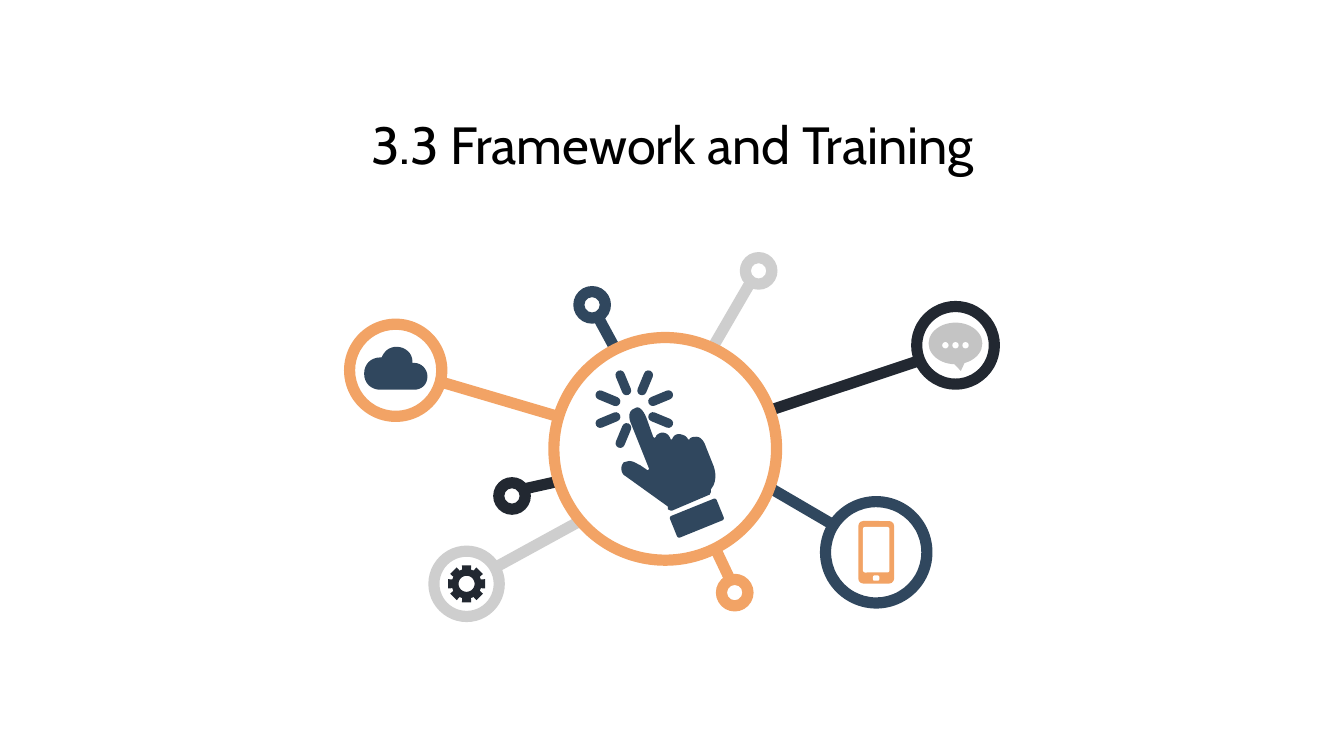
"""Build the framework and training slide: a touch hub linked to eight nodes."""
from dataclasses import dataclass
from math import cos, radians, sin

from lxml.etree import SubElement
from pptx import Presentation
from pptx.dml.color import RGBColor
from pptx.enum.shapes import MSO_CONNECTOR, MSO_SHAPE
from pptx.enum.text import MSO_ANCHOR, PP_ALIGN
from pptx.oxml.ns import qn
from pptx.shapes.autoshape import Shape
from pptx.slide import Slide
from pptx.util import Pt

COLORS = {
    "blue": "30475E", "dark": "222831", "orange": "F2A365",
    "light": "CECECE", "bubble": "C4C4C4", "white": "FFFFFF", "black": "000000",
}
RING = 6
SMALL = 20.2

Point = tuple[float, float]
Step = tuple[float, ...]


@dataclass(frozen=True)
class Node:
    center: Point
    diameter: float
    color: str
    link_start: Point
    link_end: Point


NODES = [
    Node((469.4, 295.9), 60.3, "blue", (411.8, 261), (446.4, 281.2)),
    Node((511.9, 185), 47.6, "dark", (411.1, 220.3), (491, 193.7)),
    Node((212, 198.4), 55.4, "orange", (299.2, 223.2), (235.8, 204.5)),
    Node((250, 312.8), 41, "light", (311, 279), (265, 304.2)),
    Node((274.3, 265.7), SMALL, "dark", (299.5, 257.8), (280.1, 262.1)),
    Node((393.6, 317.5), SMALL, "orange", (383, 293.4), (391, 310.3)),
    Node((317.2, 163.3), SMALL, "blue", (329.4, 186.5), (320.4, 169.9)),
    Node((406.4, 145.1), SMALL, "light", (382, 185.8), (402.1, 151.2)),
]
HUB_CENTER = (356.4, 240.5)

CLOUD: list[Step] = [
    (212.4, 185.8), (208.8, 185.8, 205.9, 187.9, 204.5, 191.5), (203.8, 191.5),
    (198.7, 191.5, 195.1, 195.1, 195.1, 200.2),
    (195.1, 205.2, 198.7, 208.8, 203.8, 208.8), (221.8, 208.8),
    (226.1, 208.8, 229, 205.9, 229, 201.6), (229, 198, 226.1, 194.4, 221.8, 194.4),
    (221, 194.4), (221, 193.7), (221, 189.4, 217.4, 185.8, 212.4, 185.8),
]
HAND: list[Step] = [
    (341.3, 218.2), (339.8, 218.9), (335.5, 220.3, 337.7, 226.1, 337.7, 226.1),
    (347.8, 251.3), (347, 252), (342.7, 249.1), (342, 249.1, 339.8, 247, 337, 247),
    (334.1, 247.7), (331.2, 251.3, 334.1, 254.9, 334.8, 254.9), (357.8, 271.4),
    (357.8, 272.9), (359.3, 273.6), (360, 273.6), (380.2, 265), (380.9, 263.5),
    (380.9, 262.1), (385.2, 257, 382.3, 249.8, 382.3, 249.8), (378, 239),
    (378, 239, 376.6, 234, 373, 234), (370.8, 234, 369.4, 234.7, 369.4, 235.4),
    (368.6, 235.4), (367.9, 234, 367.2, 233.3, 364.3, 232.6), (363.6, 232.6),
    (361.4, 232.6, 360.7, 234, 360, 235.4), (359.3, 235.4),
    (358.6, 233.3, 357.1, 231.8, 355, 231.8), (354.2, 231.8),
    (352.1, 232.6, 351.4, 233.3, 351.4, 234), (350.6, 234.7), (349.9, 234),
    (346.3, 223.9), (346.3, 223.9, 344.2, 218.2, 341.3, 218.2),
]


def rgb(color: str) -> RGBColor:
    return RGBColor.from_string(COLORS[color])


def paint(shape: Shape, color: str) -> None:
    shape.shadow.inherit = False
    shape.fill.solid()
    shape.fill.fore_color.rgb = rgb(color)
    shape.line.fill.background()


def add_centered(page: Slide, kind: MSO_SHAPE, center: Point, size: Point,
                 color: str, adjustments: Step = (), rotation: float = 0) -> None:
    (x, y), (width, height) = center, size
    shape = page.shapes.add_shape(
        kind, Pt(x - width / 2), Pt(y - height / 2), Pt(width), Pt(height))
    for index, value in enumerate(adjustments):
        shape.adjustments[index] = value
    shape.rotation = rotation
    paint(shape, color)


def add_ring(page: Slide, center: Point, diameter: float, color: str) -> None:
    add_centered(page, MSO_SHAPE.DONUT, center, (diameter, diameter), color,
                 (RING / diameter,))


def add_link(page: Slide, node: Node) -> None:
    link = page.shapes.add_connector(
        MSO_CONNECTOR.STRAIGHT, *(Pt(value) for value in node.link_start + node.link_end))
    link.line.width = Pt(RING)
    link.line.color.rgb = rgb(node.color)
    SubElement(link._element.spPr, qn("a:effectLst"))


def trace(steps: list[Step], samples: int = 8) -> list[Point]:
    """Turn line steps (x, y) and cubic curve steps (six numbers) into points."""
    points: list[Point] = [steps[0]]
    for step in steps[1:]:
        if len(step) == 2:
            points.append(step)
            continue
        start = points[-1]
        for index in range(1, samples + 1):
            t = index / samples
            weights = ((1 - t) ** 3, 3 * t * (1 - t) ** 2, 3 * t * t * (1 - t), t ** 3)
            points.append(tuple(
                sum(weight * value for weight, value in
                    zip(weights, (start[axis], *step[axis::2])))
                for axis in (0, 1)))
    return points


def polar(center: Point, radius: float, degrees: float) -> Point:
    angle = radians(degrees)
    return center[0] + radius * cos(angle), center[1] + radius * sin(angle)


def add_outline(page: Slide, contours: list[list[Point]], color: str) -> None:
    outlines = [[(Pt(x), Pt(y)) for x, y in contour] for contour in contours]
    builder = page.shapes.build_freeform(*outlines[0][0])
    builder.add_line_segments(outlines[0][1:])
    for outline in outlines[1:]:
        builder.move_to(*outline[0])
        builder.add_line_segments(outline[1:])
    paint(builder.convert_to_shape(), color)


def add_gear(page: Slide, center: Point) -> None:
    teeth = [polar(center, radius, 45 * tooth + offset) for tooth in range(8)
             for radius, offset in ((8, -17), (10.2, -14), (10.2, 14), (8, 17))]
    hole = [polar(center, 4.3, -10 * step) for step in range(36)]
    add_outline(page, [teeth, hole], "dark")


def add_touch(page: Slide) -> None:
    add_outline(page, [trace(HAND)], "blue")
    add_centered(page, MSO_SHAPE.ROUNDED_RECTANGLE, (373.3, 277.6), (27, 12.5),
                 "blue", (0.1,), -22)
    for angle in (22.5 + 45 * step for step in range(8)):
        if angle != 67.5:
            add_centered(page, MSO_SHAPE.ROUNDED_RECTANGLE,
                         polar((339.8, 219.2), 15.3, angle), (14, 5), "blue", (0.5,), angle)


def add_chat(page: Slide, center: Point) -> None:
    x, y = center
    add_centered(page, MSO_SHAPE.OVAL_CALLOUT, (x, y - 1), (28.8, 22.3), "bubble",
                 (0.1, 0.66))
    for offset in (-5.4, 0, 5.4):
        add_centered(page, MSO_SHAPE.OVAL, (x + offset, y), (3.4, 3.4), "white")


def add_phone(page: Slide, center: Point) -> None:
    x, y = center
    for shift, size, color, corner in (
            (0, (19.2, 33.5), "orange", 0.14),
            (-1.4, (14.2, 24.4), "white", 0.08),
            (13.8, (3.4, 2.8), "white", 0.3)):
        add_centered(page, MSO_SHAPE.ROUNDED_RECTANGLE, (x, y + shift), size, color,
                     (corner,))


def add_title(page: Slide, text: str) -> None:
    box = page.shapes.title
    box.left, box.top, box.width, box.height = Pt(56), Pt(57.6), Pt(608.4), Pt(38.2)
    frame = box.text_frame
    frame.word_wrap = True
    frame.vertical_anchor = MSO_ANCHOR.MIDDLE
    frame.margin_left = frame.margin_right = Pt(7.2)
    frame.margin_top = frame.margin_bottom = Pt(7.2)
    para = frame.paragraphs[0]
    para.alignment = PP_ALIGN.CENTER
    span = para.add_run()
    span.text = text
    span.font.name = "Cabin"
    span.font.size = Pt(28)
    span.font.color.rgb = rgb("black")


def main() -> None:
    deck = Presentation()
    deck.slide_width, deck.slide_height = Pt(720), Pt(405)
    page = deck.slides.add_slide(deck.slide_layouts[5])
    add_title(page, "3.3 Framework and Training")
    for node in NODES:
        add_link(page, node)
        add_ring(page, node.center, node.diameter, node.color)
    add_ring(page, HUB_CENTER, 125.3, "orange")
    add_phone(page, NODES[0].center)
    add_chat(page, NODES[1].center)
    add_outline(page, [trace(CLOUD)], "blue")
    add_gear(page, NODES[3].center)
    add_touch(page)
    deck.save("out.pptx")


if __name__ == "__main__":
    main()
